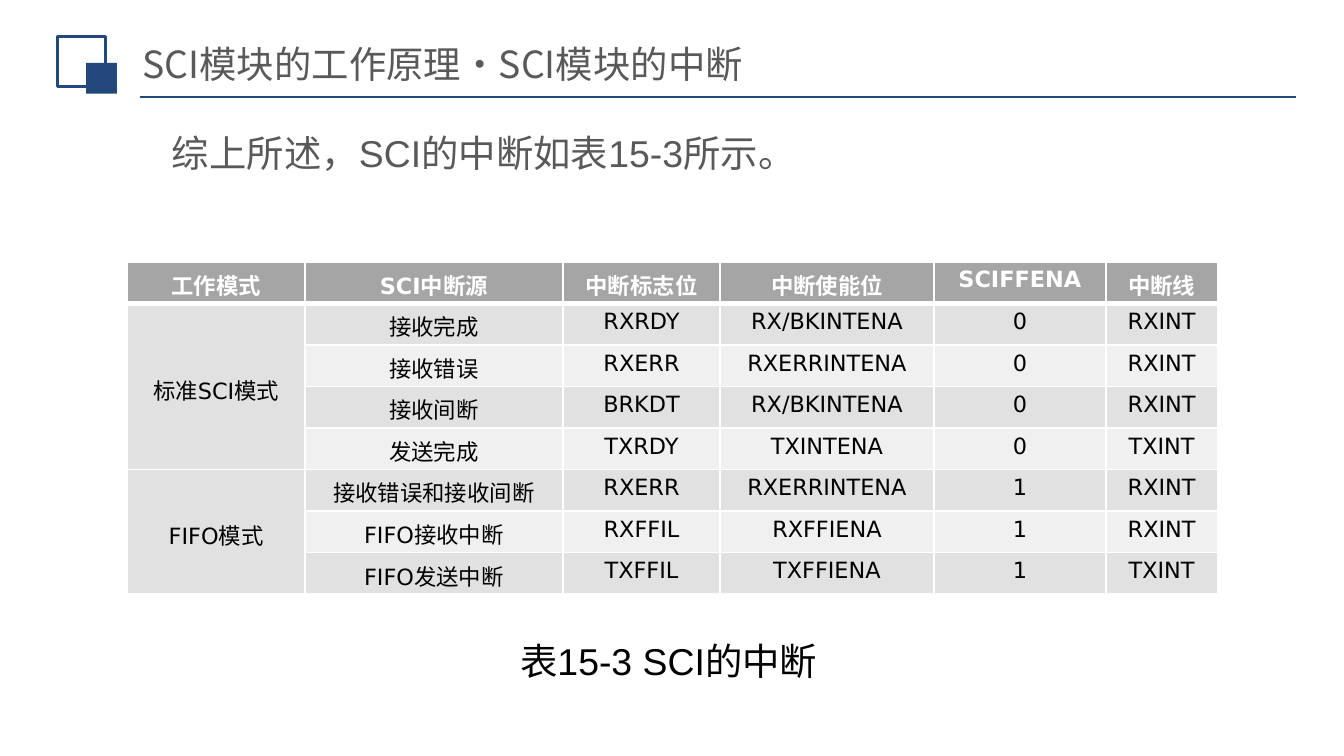
import lxml.etree
import pptx
import pptx.dml.color
import pptx.enum.shapes
import pptx.enum.text
import pptx.oxml.ns
import pptx.util

Cm = pptx.util.Cm
Pt = pptx.util.Pt
RGBColor = pptx.dml.color.RGBColor
Align = pptx.enum.text.PP_ALIGN
Anchor = pptx.enum.text.MSO_ANCHOR
qn = pptx.oxml.ns.qn

NAVY = RGBColor(0x23, 0x48, 0x7C)
GRAY = RGBColor(0x59, 0x59, 0x59)
BLACK = RGBColor(0, 0, 0)
WHITE = RGBColor(255, 255, 255)
HEADER_FILL = RGBColor(0xA5, 0xA5, 0xA5)
BAND_FILLS = (RGBColor(0xF0, 0xF0, 0xF0), RGBColor(0xE1, 0xE1, 0xE1))

CHINESE_FONT = "Noto Sans CJK SC"
TITLE_FONT = {"name": CHINESE_FONT, "size": Pt(20), "color": GRAY}
BODY_FONT = {"name": "Arial", "size": Pt(20), "color": GRAY}
CAPTION_FONT = {**BODY_FONT, "color": BLACK}
CELL_FONT = {"name": "DejaVu Sans", "size": Pt(12), "color": BLACK, "bold": False}
HEADER_FONT = {**CELL_FONT, "color": WHITE, "bold": True}

COLUMN_WIDTHS = (3.35, 4.88, 2.97, 4.04, 3.25, 2.11)
TABLE_HEIGHT = 6.28
HEADERS = ("工作模式", "SCI中断源", "中断标志位", "中断使能位", "SCIFFENA", "中断线")
MODES = {
    "标准SCI模式": (
        ("接收完成", "RXRDY", "RX/BKINTENA", "0", "RXINT"),
        ("接收错误", "RXERR", "RXERRINTENA", "0", "RXINT"),
        ("接收间断", "BRKDT", "RX/BKINTENA", "0", "RXINT"),
        ("发送完成", "TXRDY", "TXINTENA", "0", "TXINT"),
    ),
    "FIFO模式": (
        ("接收错误和接收间断", "RXERR", "RXERRINTENA", "1", "RXINT"),
        ("FIFO接收中断", "RXFFIL", "RXFFIENA", "1", "RXINT"),
        ("FIFO发送中断", "TXFFIL", "TXFFIENA", "1", "TXINT"),
    ),
}


def write_text(text_frame, text, font_format, alignment=Align.LEFT):
    paragraph = text_frame.paragraphs[0]
    paragraph.alignment = alignment
    run = paragraph.add_run()
    run.text = text
    for name, value in font_format.items():
        if name == "color":
            run.font.color.rgb = value
        else:
            setattr(run.font, name, value)
    east_asian = lxml.etree.SubElement(run.font._element, qn("a:ea"))
    east_asian.set("typeface", CHINESE_FONT)
    return paragraph


def format_title(slide, text):
    title = slide.shapes.title
    position = {"left": Cm(2.51), "top": Cm(0.74), "width": Cm(20.98), "height": Cm(0.91)}
    for name, value in position.items():
        setattr(title, name, value)
    frame_format = {
        "margin_left": Cm(0.18), "margin_right": Cm(0.18),
        "margin_top": Cm(0.1), "margin_bottom": Cm(0.1),
        "vertical_anchor": Anchor.MIDDLE,
        "auto_size": pptx.enum.text.MSO_AUTO_SIZE.NONE,
    }
    for name, value in frame_format.items():
        setattr(title.text_frame, name, value)
    write_text(title.text_frame, text, TITLE_FONT)


def add_text(slide, box, text, font_format, alignment=Align.LEFT):
    text_box = slide.shapes.add_textbox(*map(Cm, box))
    text_box.text_frame.word_wrap = True
    return write_text(text_box.text_frame, text, font_format, alignment)


def add_square(slide, box, filled):
    shape = slide.shapes.add_shape(pptx.enum.shapes.MSO_SHAPE.RECTANGLE, *map(Cm, box))
    shape.shadow.inherit = False
    if filled:
        shape.fill.solid()
        shape.fill.fore_color.rgb = NAVY
        shape.line.fill.background()
    else:
        shape.fill.background()
        shape.line.color.rgb = NAVY
        shape.line.width = Pt(1.5)


def add_rule(slide, left, right, top):
    rule = slide.shapes.add_connector(
        pptx.enum.shapes.MSO_CONNECTOR.STRAIGHT, Cm(left), Cm(top), Cm(right), Cm(top))
    rule.line.color.rgb = NAVY
    rule.line.width = Pt(1.25)
    lxml.etree.SubElement(rule._element.spPr, qn("a:effectLst"))


def set_borders(cell, widths):
    """Draw white borders; widths maps L, R, T and B to points."""
    properties = cell._tc.get_or_add_tcPr()
    for side, width in widths.items():
        line = lxml.etree.SubElement(properties, qn(f"a:ln{side}"), w=str(Pt(width)))
        fill = lxml.etree.SubElement(line, qn("a:solidFill"))
        lxml.etree.SubElement(fill, qn("a:srgbClr"), val=str(WHITE))


def format_cell(cell, row, column):
    set_borders(cell, {"L": 1, "R": 1, "T": 3 if row == 1 else 1, "B": 3 if row == 0 else 1})
    cell.fill.solid()
    cell.fill.fore_color.rgb = BAND_FILLS[row % 2] if row else HEADER_FILL
    cell_format = {
        "margin_left": Cm(0.2), "margin_right": Cm(0.2),
        "margin_top": 0, "margin_bottom": 0,
        "vertical_anchor": Anchor.MIDDLE if row and column == 0 else Anchor.TOP,
    }
    for name, value in cell_format.items():
        setattr(cell, name, value)


def add_interrupt_table(slide):
    rows = [HEADERS]
    for mode, sources in MODES.items():
        for index, source in enumerate(sources):
            rows.append(("" if index else mode, *source))
    table = slide.shapes.add_table(
        len(rows), len(HEADERS), Cm(2.41), Cm(4.95),
        Cm(sum(COLUMN_WIDTHS)), Cm(TABLE_HEIGHT)).table
    for column, width in zip(table.columns, COLUMN_WIDTHS):
        column.width = Cm(width)
    for row, texts in enumerate(rows):
        for column, text in enumerate(texts):
            cell = table.cell(row, column)
            format_cell(cell, row, column)
            if text:
                font_format = CELL_FONT if row else HEADER_FONT
                paragraph = write_text(cell.text_frame, text, font_format, Align.CENTER)
                paragraph.line_spacing = 1.2
    first = 1
    for sources in MODES.values():
        last = first + len(sources) - 1
        table.cell(first, 0).merge(table.cell(last, 0))
        first = last + 1


def main():
    presentation = pptx.Presentation()
    presentation.slide_width = Cm(25.4)
    presentation.slide_height = Cm(14.29)
    slide = presentation.slides.add_slide(presentation.slide_layouts.get_by_name("Title Only"))
    add_rule(slide, 2.64, 24.49, 1.83)
    add_square(slide, (1.09, 0.69, 0.91, 0.94), filled=False)
    add_square(slide, (1.63, 1.19, 0.58, 0.58), filled=True)
    format_title(slide, "SCI模块的工作原理·SCI模块的中断")
    summary = add_text(slide, (1.5, 2.34, 22.4, 1.12),
                       "综上所述，SCI的中断如表15-3所示。", BODY_FONT, Align.JUSTIFY)
    summary._p.get_or_add_pPr().set("indent", str(Cm(1.5)))
    add_interrupt_table(slide)
    add_text(slide, (9.58, 11.94, 6.22, 1.12), "表15-3 SCI的中断", CAPTION_FONT)
    presentation.save("out.pptx")


if __name__ == "__main__":
    main()
